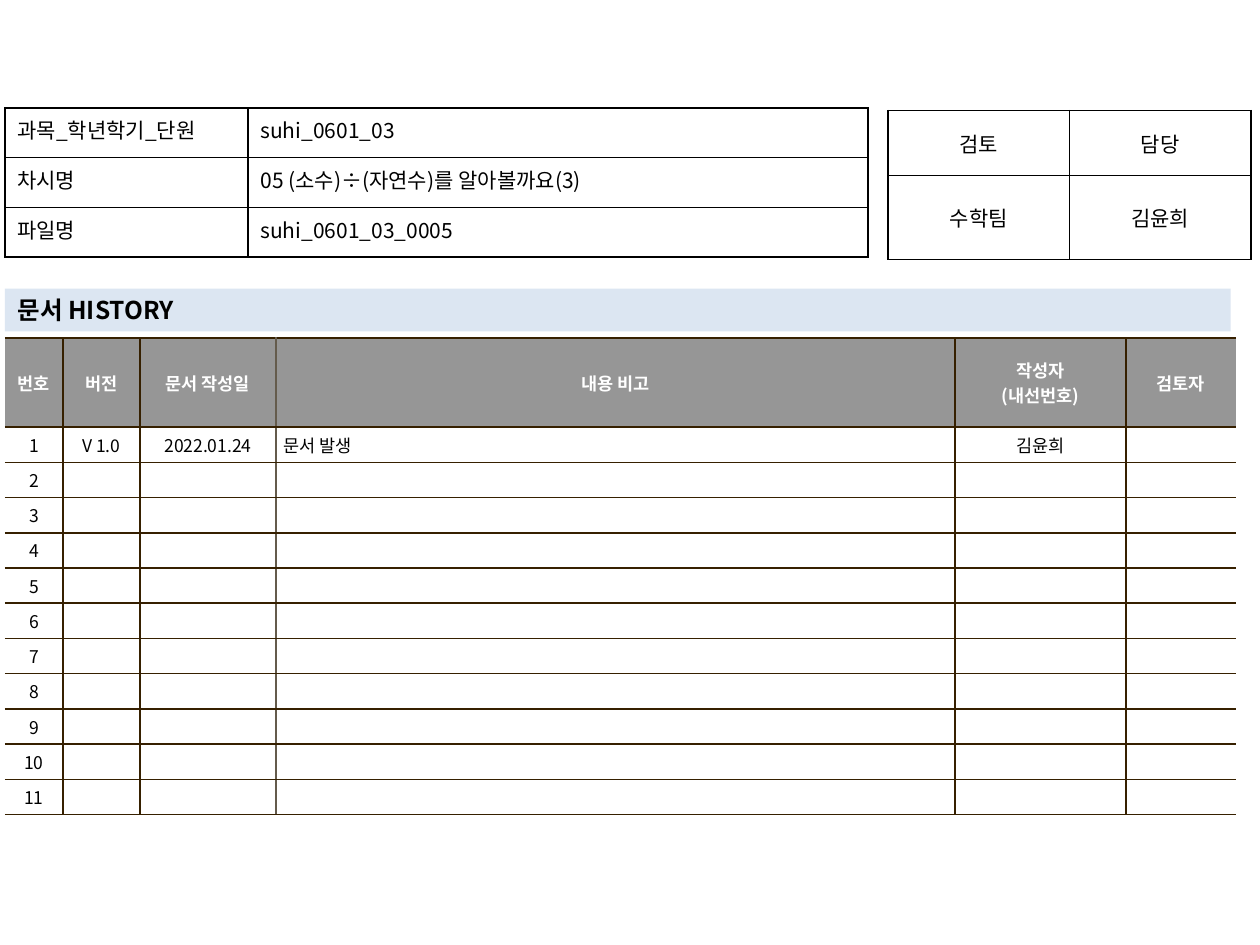
import pptx
import pptx.util
import pptx.dml.color
import pptx.enum.text
import pptx.oxml
import pptx.oxml.ns
import lxml.etree

Cm = pptx.util.Cm
Pt = pptx.util.Pt
RGB = pptx.dml.color.RGBColor
ALIGN = pptx.enum.text.PP_ALIGN
MID = pptx.enum.text.MSO_ANCHOR.MIDDLE
TOP = pptx.enum.text.MSO_ANCHOR.TOP

FONT = "Noto Sans CJK KR"
BLACK = RGB(0x00, 0x00, 0x00)
WHITE = RGB(0xFF, 0xFF, 0xFF)
GREY = RGB(0x96, 0x96, 0x96)
BLUE = RGB(0xDC, 0xE6, 0xF2)
BROWN = RGB(0x36, 0x20, 0x00)
TAUPE = RGB(0x64, 0x5B, 0x4C)
qn = pptx.oxml.ns.qn


def style(frame, look, align):
    for para in frame.paragraphs:
        para.alignment = align
        for run in para.runs:
            for key, val in look.items():
                setattr(run.font, key, val)
            run.font.color.rgb = BLACK
            lxml.etree.SubElement(run.font._element, qn("a:ea"), typeface=FONT)
        if not para.runs:
            end = lxml.etree.SubElement(para._p, qn("a:endParaRPr"))
            end.set("sz", str(int(look["size"].pt * 100)))


def grid(slide, box, cols, rows, data, look, edge, pad, anchor):
    table = slide.shapes.add_table(len(rows), len(cols), *map(Cm, box)).table
    table.first_row = table.horz_banding = False
    for col, width in zip(table.columns, cols):
        col.width = Cm(width)
    for row, height in zip(table.rows, rows):
        row.height = Cm(height)
    for r, line in enumerate(data):
        for c, text in enumerate(line):
            cell = table.cell(r, c)
            cell.text = text
            form = {"vertical_anchor": anchor,
                    "margin_left": Cm(pad[0]), "margin_right": Cm(pad[0]),
                    "margin_top": Cm(pad[1]), "margin_bottom": Cm(pad[1])}
            for key, val in form.items():
                setattr(cell, key, val)
            style(cell.text_frame, look, ALIGN.CENTER)
            for side in "LRTB":
                ln = lxml.etree.SubElement(
                    cell._tc.get_or_add_tcPr(), qn("a:ln" + side), w=str(Pt(1)))
                tint = edge(c, side)
                if tint is None:
                    lxml.etree.SubElement(ln, qn("a:noFill"))
                else:
                    fill = lxml.etree.SubElement(ln, qn("a:solidFill"))
                    lxml.etree.SubElement(fill, qn("a:srgbClr"), val=str(tint))
            cell.fill.solid()
            cell.fill.fore_color.rgb = WHITE
    return table


deck = pptx.Presentation()
deck.slide_width = Cm(25.4)
deck.slide_height = Cm(19.05)
slide = deck.slides.add_slide(deck.slide_layouts[5])

title = slide.shapes.title
for key, val in {"left": 0.1, "top": 5.82, "width": 24.71, "height": 0.86}.items():
    setattr(title, key, Cm(val))
title.fill.solid()
title.fill.fore_color.rgb = BLUE
frame = title.text_frame
frame.text = "문서 HISTORY"
frame.auto_size = pptx.enum.text.MSO_AUTO_SIZE.NONE
frame.vertical_anchor = MID
style(frame, {"size": Pt(14), "name": FONT, "bold": True}, ALIGN.LEFT)

marks = {(0, "L"): None, (5, "R"): None, (2, "R"): TAUPE, (3, "L"): TAUPE}
small = {"size": Pt(10), "name": FONT, "bold": False}
log = [
    ["번호", "버전", "문서 작성일", "내용 비고", "작성자\n(내선번호)", "검토자"],
    ["1", "V 1.0", "2022.01.24", "문서 발생", "김윤희", ""],
] + [[str(n)] + [""] * 5 for n in range(2, 12)]
table = grid(slide, (0.1, 6.81, 24.81, 9.61),
             [1.17, 1.55, 2.74, 13.69, 3.45, 2.21], [1.8] + [0.71] * 11,
             log, small, lambda c, side: marks.get((c, side), BROWN),
             (0.15, 0.1), MID)
for cell in table.rows[0].cells:
    cell.fill.fore_color.rgb = GREY
    for para in cell.text_frame.paragraphs:
        for run in para.runs:
            run.font.bold = True
            run.font.color.rgb = WHITE
note = table.cell(1, 3).text_frame.paragraphs[0]
note.alignment = ALIGN.LEFT
for key, val in {"marL": 0.48, "indent": -0.48}.items():
    note._p.get_or_add_pPr().set(key, str(Cm(val)))

large = {"size": Pt(12), "name": FONT, "bold": False}
grid(slide, (17.9, 2.23, 7.32, 3), [3.66] * 2, [1.31, 1.69],
     [["검토", "담당"], ["수학팀", "김윤희"]],
     large, lambda c, side: BLACK, (0.25, 0.13), MID)

facts = [
    ["과목_학년학기_단원 ", "suhi_0601_03"],
    ["차시명", "05 (소수)÷(자연수)를 알아볼까요(3)"],
    ["파일명", "suhi_0601_03_0005"],
]
table = grid(slide, (0.1, 2.18, 17.4, 3), [4.9, 12.5], [1] * 3, facts,
             large, lambda c, side: BLACK, (0.25, 0.13), TOP)
for row in table.rows:
    for cell, align in zip(row.cells, (ALIGN.JUSTIFY, ALIGN.LEFT)):
        cell.text_frame.paragraphs[0].alignment = align

deck.save("out.pptx")
